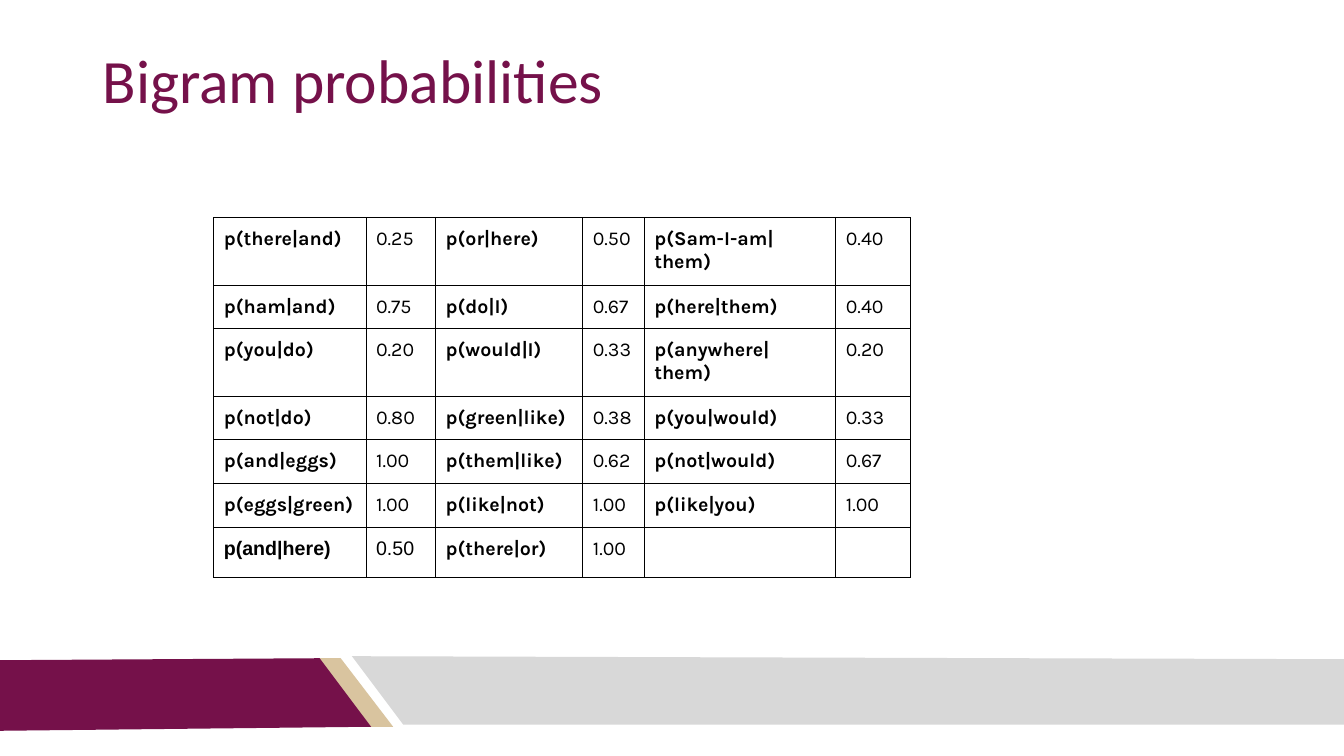
import lxml.etree
import pptx
import pptx.dml.color
import pptx.enum.text
import pptx.oxml.ns
import pptx.util

Inches = pptx.util.Inches

MAROON, SAND, GREY, BLACK = "75114A", "D9C49F", "D8D8D8", "000000"
BAND_PARTS = [
    (SAND, [(3.16, 0.02), (3.38, 0.02), (3.9, 0.7), (3.67, 0.7)]),
    (MAROON, [(-0.01, 0.04), (3.17, 0.02), (3.68, 0.7), (-0.01, 0.74)]),
    (GREY, [(13.37, 0.68), (4, 0.68), (3.49, 0), (13.34, 0.03)]),
]
COLUMN_WIDTHS = [1.51, 0.69, 1.46, 0.61, 1.9, 0.74]
ROW_HEIGHT = 0.42
PROBABILITIES = [
    ["p(there|and)", "0.25", "p(or|here)", "0.50", "p(Sam-I-am|them)", "0.40"],
    ["p(ham|and)", "0.75", "p(do|I)", "0.67", "p(here|them)", "0.40"],
    ["p(you|do)", "0.20", "p(would|I)", "0.33", "p(anywhere|them)", "0.20"],
    ["p(not|do)", "0.80", "p(green|like)", "0.38", "p(you|would)", "0.33"],
    ["p(and|eggs)", "1.00", "p(them|like)", "0.62", "p(not|would)", "0.67"],
    ["p(eggs|green)", "1.00", "p(like|not)", "1.00", "p(like|you)", "1.00"],
    ["p(and|here)", "0.50", "p(there|or)", "1.00", "", ""],
]
ARIAL_CELLS = {(6, 0), (6, 1)}


def color(hex_string):
    """Return the colour for a hex string."""
    return pptx.dml.color.RGBColor.from_string(hex_string)


def set_margins(target):
    """Give a cell or text frame equal margins."""
    for side in ("left", "right", "top", "bottom"):
        setattr(target, f"margin_{side}", Inches(0.1))


def add_run(paragraph, text, size, font_name, hex_string, bold=False):
    """Append a styled run to a paragraph."""
    run = paragraph.add_run()
    run.text = text
    run.font.size = pptx.util.Pt(size)
    run.font.name = font_name
    run.font.bold = bold
    run.font.color.rgb = color(hex_string)


def add_footer_band(slide, left, top):
    """Draw the slanted footer pieces from the given corner."""
    for fill, corners in BAND_PARTS:
        points = [(Inches(left + x), Inches(top + y)) for x, y in corners]
        builder = slide.shapes.build_freeform(*points[0])
        builder.add_line_segments(points[1:], close=True)
        shape = builder.convert_to_shape()
        shape.shadow.inherit = False
        shape.fill.solid()
        shape.fill.fore_color.rgb = color(fill)
        shape.line.fill.background()


def add_title(slide, left, top, width, height):
    """Place the slide title in its box."""
    box = slide.shapes.add_textbox(*map(Inches, (left, top, width, height)))
    frame = box.text_frame
    frame.word_wrap = True
    frame.vertical_anchor = pptx.enum.text.MSO_ANCHOR.TOP
    set_margins(frame)
    paragraph = frame.paragraphs[0]
    paragraph.line_spacing = 0.9
    add_run(paragraph, "Bigram probabilities", 44, "Calibri", MAROON)


def add_borders(cell):
    """Draw a thin black line on each side of a cell."""
    properties = cell._tc.get_or_add_tcPr()
    qn = pptx.oxml.ns.qn
    for side in ("L", "R", "T", "B"):
        line = lxml.etree.SubElement(properties, qn(f"a:ln{side}"), w=str(pptx.util.Pt(0.75)))
        fill = lxml.etree.SubElement(line, qn("a:solidFill"))
        lxml.etree.SubElement(fill, qn("a:srgbClr"), val=BLACK)


def add_probability_table(slide, left, top):
    """Build the bigram table from the given corner."""
    rows, columns = len(PROBABILITIES), len(COLUMN_WIDTHS)
    size = (sum(COLUMN_WIDTHS), rows * ROW_HEIGHT)
    frame = slide.shapes.add_table(rows, columns, *map(Inches, (left, top, *size)))
    table = frame.table
    table.first_row = False
    table.horz_banding = False
    for column, width in zip(table.columns, COLUMN_WIDTHS):
        column.width = Inches(width)
    for row_index, values in enumerate(PROBABILITIES):
        table.rows[row_index].height = Inches(ROW_HEIGHT)
        for column_index, text in enumerate(values):
            cell = table.cell(row_index, column_index)
            set_margins(cell)
            add_borders(cell)
            cell.fill.background()
            if text:
                font_name = "Arial" if (row_index, column_index) in ARIAL_CELLS else "Karla"
                paragraph = cell.text_frame.paragraphs[0]
                add_run(paragraph, text, 14, font_name, BLACK, bold=column_index % 2 == 0)


def main():
    """Build and save the presentation."""
    presentation = pptx.Presentation()
    presentation.slide_width = Inches(13.33)
    presentation.slide_height = Inches(7.5)
    slide = presentation.slides.add_slide(presentation.slide_layouts[6])
    add_footer_band(slide, 0, 6.51)
    add_title(slide, 0.92, 0.4, 11.5, 1.45)
    add_probability_table(slide, 2.12, 2.16)
    presentation.save("out.pptx")


if __name__ == "__main__":
    main()
